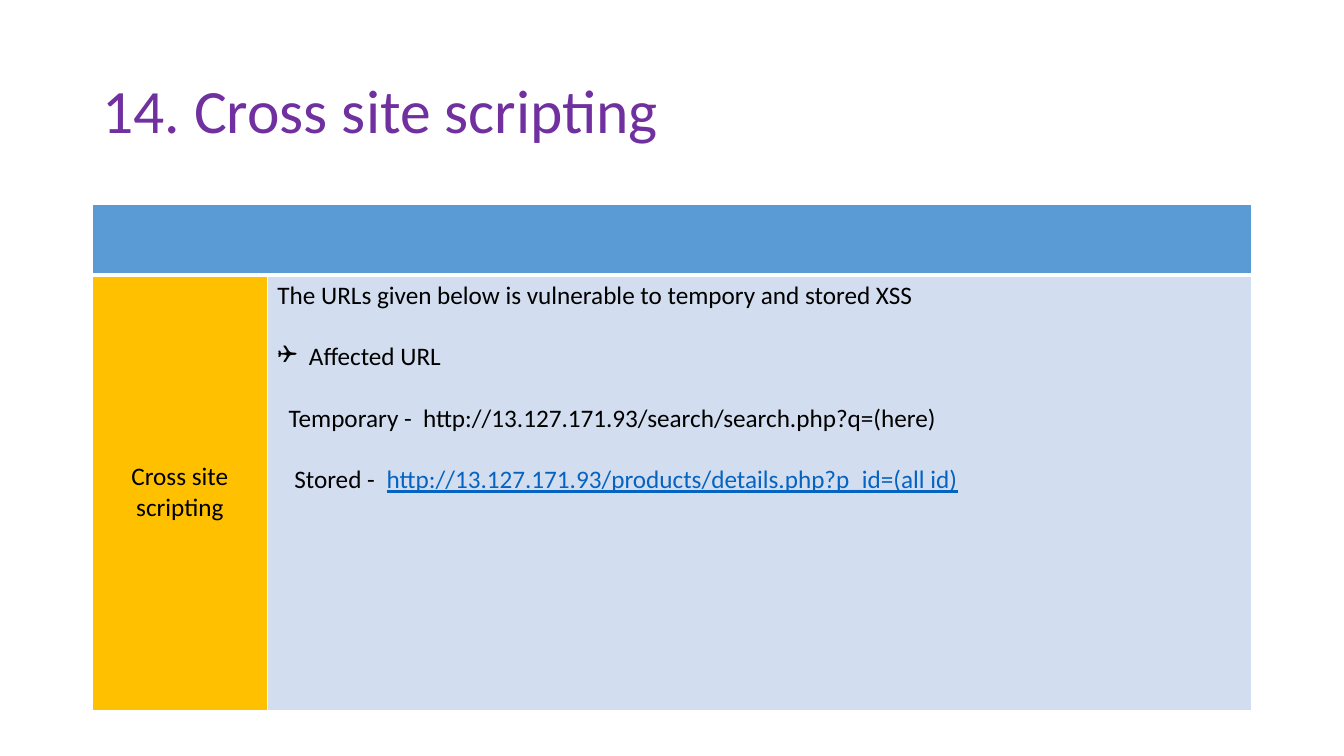
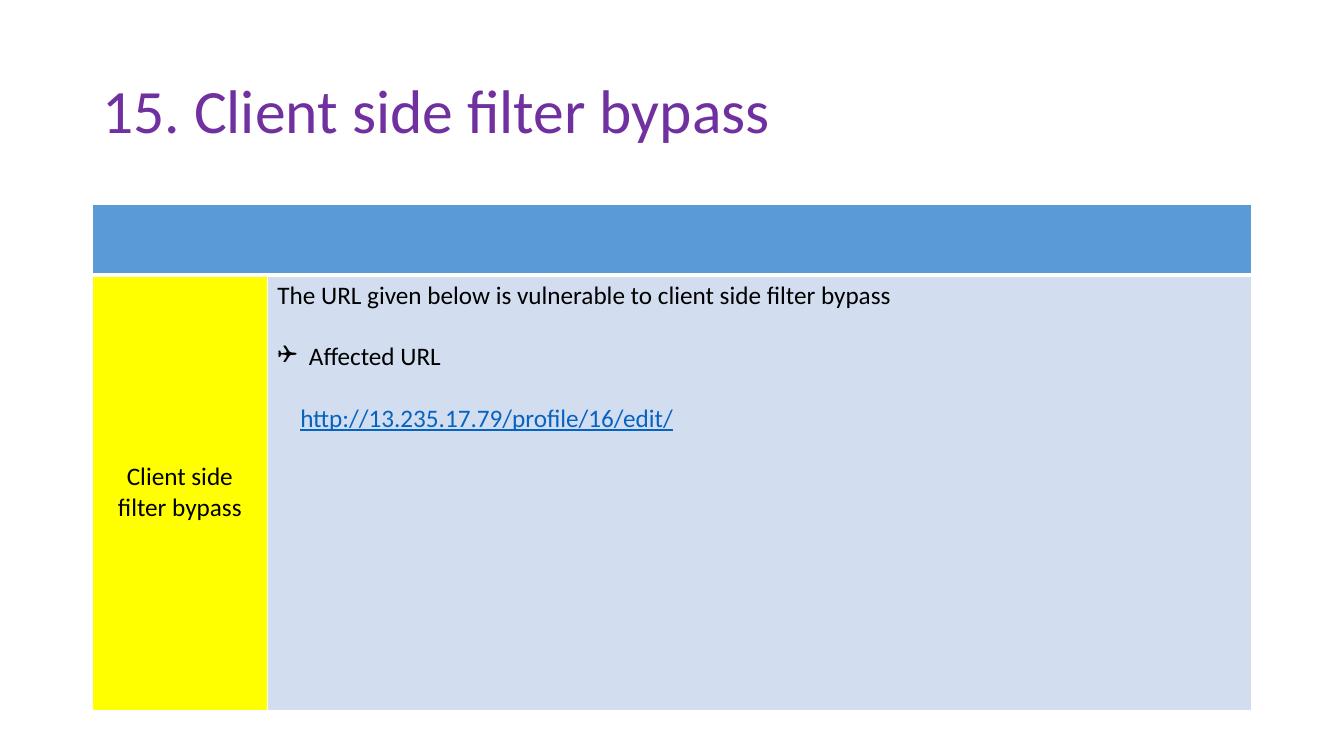
from lxml import etree
from pptx import Presentation
from pptx.dml.color import RGBColor
from pptx.enum.text import MSO_ANCHOR, PP_ALIGN
from pptx.oxml.ns import qn
from pptx.util import Pt

MIDDLE = MSO_ANCHOR.MIDDLE
TOP = MSO_ANCHOR.TOP
CENTER = PP_ALIGN.CENTER
LEFT = PP_ALIGN.LEFT

FONT = "Calibri"
PURPLE = "7030A0"
BLACK = "000000"
WHITE = "FFFFFF"
LINK = "0563C1"
HEADER = "5B9BD5"
BODY = "D2DEEF"
AMBER = "FFC000"
YELLOW = "FFFF00"

MARGIN = 66
COLUMNS = [125, 703]
ROWS = [50.4, 311]
LINE_GAP = 22
BULLET = "❑"

# (bullet, left indent, first-line indent, runs)
FINDINGS = [
    {
        "title": "14. Cross site scripting",
        "label": ["Cross site", "scripting"],
        "severity": AMBER,
        "details": [
            (None, 0, 0, [("The URLs given below is vulnerable to tempory and stored XSS", BLACK)]),
            (BULLET, 22.5, -22.5, [("Affected URL", BLACK)]),
            (None, 104, -96, [("Temporary -\thttp://13.127.171.93/search/search.php?q=(here)", BLACK)]),
            (None, 78, -66, [("Stored -\t", BLACK),
                             ("http://13.127.171.93/products/details.php?p_id=(all id)", LINK)]),
        ],
    },
    {
        "title": "15. Client side filter bypass",
        "label": ["Client side filter bypass"],
        "severity": YELLOW,
        "details": [
            (None, 0, 0, [("The URL given below is vulnerable to client side filter bypass", BLACK)]),
            (BULLET, 22.5, -22.5, [("Affected URL", BLACK)]),
            (None, 16.3, 0, [("http://13.235.17.79/profile/16/edit/", LINK)]),
        ],
    },
]


def color(value):
    return RGBColor.from_string(value)


def add_span(para, text, size, ink):
    span = para.add_run()
    span.text = text
    span.font.name = FONT
    span.font.size = Pt(size)
    span.font.color.rgb = color(ink)
    if ink == LINK:
        span.font.underline = True


deck = Presentation()
deck.slide_width = Pt(960)
deck.slide_height = Pt(540)

for finding in FINDINGS:
    page = deck.slides.add_slide(deck.slide_layouts[6])

    title = page.shapes.add_textbox(Pt(MARGIN), Pt(28.8), Pt(sum(COLUMNS)), Pt(104.4)).text_frame
    title.word_wrap = True
    title.vertical_anchor = MIDDLE
    title.paragraphs[0].line_spacing = 0.9
    add_span(title.paragraphs[0], finding["title"], 44, PURPLE)

    table = page.shapes.add_table(
        2, 2, Pt(MARGIN), Pt(146), Pt(sum(COLUMNS)), Pt(sum(ROWS))
    ).table
    table.first_row = False
    table.horz_banding = False
    for column, width in zip(table.columns, COLUMNS):
        column.width = Pt(width)
    for row, height in zip(table.rows, ROWS):
        row.height = Pt(height)

    fills = [[HEADER, HEADER], [finding["severity"], BODY]]
    for row_index, row_fills in enumerate(fills):
        edges = {"L": 1, "R": 1, "T": 3 if row_index else 1, "B": 1 if row_index else 3}
        for column_index, fill in enumerate(row_fills):
            cell = table.cell(row_index, column_index)
            properties = cell._tc.get_or_add_tcPr()
            for side, width in edges.items():
                border = etree.SubElement(properties, qn(f"a:ln{side}"), w=str(Pt(width)))
                paint = etree.SubElement(border, qn("a:solidFill"))
                etree.SubElement(paint, qn("a:srgbClr"), val=WHITE)
            cell.fill.solid()
            cell.fill.fore_color.rgb = color(fill)
    table.cell(0, 0).merge(table.cell(0, 1))

    label = table.cell(1, 0)
    label.vertical_anchor = MIDDLE
    for index, text in enumerate(finding["label"]):
        frame = label.text_frame
        para = frame.add_paragraph() if index else frame.paragraphs[0]
        para.alignment = CENTER
        add_span(para, text, 18, BLACK)

    details = table.cell(1, 1)
    details.vertical_anchor = TOP
    for index, (bullet, left, first, spans) in enumerate(finding["details"]):
        frame = details.text_frame
        para = frame.add_paragraph() if index else frame.paragraphs[0]
        para.alignment = LEFT
        if index:
            para.space_before = Pt(LINE_GAP)
        layout = para._p.get_or_add_pPr()
        layout.set("marL", str(Pt(left)))
        layout.set("indent", str(Pt(first)))
        if bullet:
            etree.SubElement(layout, qn("a:buFont"), typeface="Wingdings")
            etree.SubElement(layout, qn("a:buChar"), char=bullet)
        for text, ink in spans:
            add_span(para, text, 18, ink)

deck.save("out.pptx")
